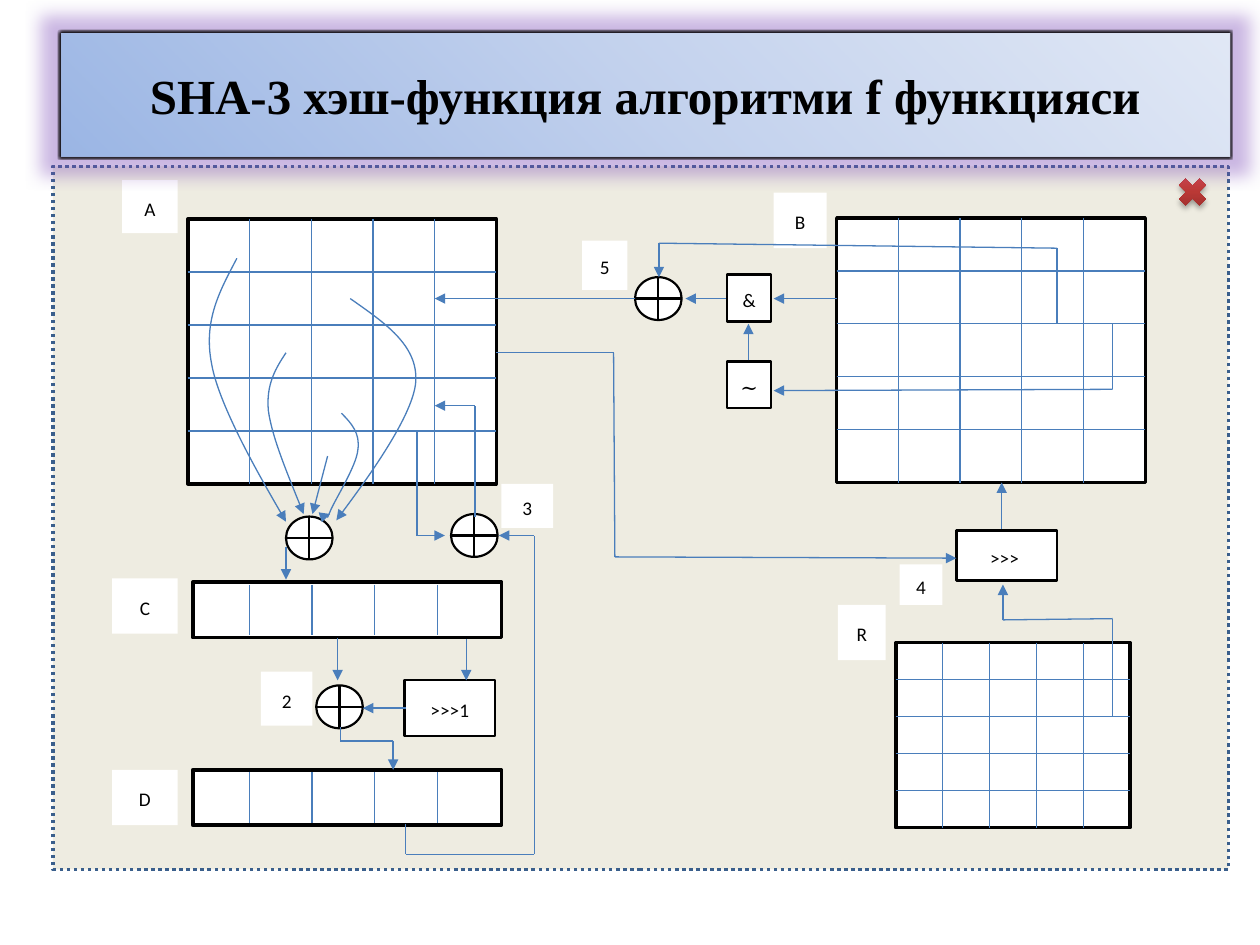
from itertools import pairwise

from pptx import Presentation
from pptx.dml.color import RGBColor
from pptx.enum.dml import MSO_LINE
from pptx.enum.shapes import MSO_CONNECTOR, MSO_SHAPE
from pptx.enum.text import MSO_ANCHOR, PP_ALIGN
from pptx.oxml import parse_xml
from pptx.oxml.ns import nsdecls, qn
from pptx.util import Inches, Pt

RECTANGLE = MSO_SHAPE.RECTANGLE
XOR_NODE = MSO_SHAPE.FLOWCHART_OR
CROSS = MSO_SHAPE.MATH_MULTIPLY
STRAIGHT = MSO_CONNECTOR.STRAIGHT
DOTTED = MSO_LINE.ROUND_DOT
MIDDLE = MSO_ANCHOR.MIDDLE
CENTER = PP_ALIGN.CENTER
BLACK, WHITE, BLUE = "000000", "FFFFFF", "4A7EBB"
UNITS = 1000

LABELS = [
    ("A", (0.97, 1.43, 0.44, 0.42)), ("B", (6.14, 1.53, 0.42, 0.44)),
    ("C", (0.89, 4.59, 0.52, 0.44)), ("D", (0.89, 6.11, 0.52, 0.44)),
    ("R", (6.65, 4.8, 0.38, 0.44)), ("2", (2.07, 5.33, 0.41, 0.43)),
    ("3", (3.98, 3.84, 0.41, 0.35)), ("4", (7.14, 4.48, 0.34, 0.32)),
    ("5", (4.62, 1.91, 0.36, 0.39)),
]
OPERATIONS = [
    (">>> ", (7.59, 4.21, 0.8, 0.4), 1.5), (">>>1", (3.21, 5.4, 0.72, 0.44), 1.25),
    ("&", (5.77, 2.18, 0.35, 0.37), 1.5),
]
XOR_POSITIONS = [(2.27, 4.1), (3.58, 4.08), (2.51, 5.44), (5.04, 2.2)]
ROUTES = [
    [(8.39, 2.56), (8.39, 1.97), (5.23, 1.93), (5.23, 2.2)],
    [(3.94, 2.8), (4.87, 2.8), (4.88, 4.42), (7.59, 4.43)],
    [(8.83, 5.68), (8.83, 4.91), (7.96, 4.92), (7.96, 4.64)],
    [(8.83, 2.57), (8.83, 3.09), (6.14, 3.1)],
    [(3.22, 6.54), (3.22, 6.78), (4.24, 6.78), (4.24, 4.25), (3.96, 4.25)],
    [(3.31, 3.42), (3.31, 4.25), (3.53, 4.25)],
    [(3.77, 4.1), (3.77, 3.22), (3.45, 3.22)],
    [(2.7, 5.77), (2.7, 5.88), (3.12, 5.88), (3.12, 6.11)],
    [(2.27, 4.34), (2.27, 4.6)],
    [(2.6, 3.62), (2.48, 4.08)],
    [(2.68, 5.06), (2.68, 5.4)],
    [(3.7, 5.07), (3.7, 5.4)],
    [(3.22, 5.62), (2.88, 5.62)],
    [(7.95, 4.2), (7.95, 3.83)],
    [(5.94, 2.86), (5.94, 2.57)],
    [(6.64, 2.37), (6.14, 2.37)],
    [(5.76, 2.37), (5.44, 2.37)],
    [(5.04, 2.37), (3.45, 2.37)],
]
CURVES = [
    [(1.88, 2.05), (1.75, 2.3), (1.61, 2.54), (1.68, 2.89),
     (1.74, 3.24), (2.27, 4.14), (2.27, 4.14)],
    [(2.78, 2.37), (3.05, 2.56), (3.32, 2.74), (3.3, 3.03),
     (3.28, 3.32), (2.67, 4.13), (2.67, 4.13)],
    [(2.27, 2.8), (2.19, 2.92), (2.11, 3.05), (2.13, 3.26),
     (2.16, 3.47), (2.29, 3.78), (2.41, 4.08)],
    [(2.71, 3.28), (2.79, 3.36), (2.86, 3.44), (2.84, 3.57), (2.83, 3.7),
     (2.65, 3.98), (2.62, 4.06), (2.58, 4.15), (2.6, 4.12), (2.62, 4.08)],
]


def color(value):
    return RGBColor.from_string(value)


def set_line(shape, value, width, arrow=False):
    shape.line.color.rgb = color(value)
    shape.line.width = Pt(width)
    if arrow:
        outline = shape._element.spPr.find(qn("a:ln"))
        outline.append(parse_xml(f'<a:tailEnd {nsdecls("a")} type="triangle"/>'))


def set_gradient(shape, stops, direction):
    shape.fill.gradient()
    properties = shape._element.spPr
    stop_list = "".join(
        f'<a:gs pos="{position * 1000}"><a:srgbClr val="{value}"/></a:gs>'
        for position, value in stops)
    properties.replace(properties.find(qn("a:gradFill")), parse_xml(
        f'<a:gradFill {nsdecls("a")} rotWithShape="1"><a:gsLst>{stop_list}</a:gsLst>'
        f'{direction}</a:gradFill>'))


def set_effect(shape, effect=""):
    shape._element.spPr.append(
        parse_xml(f'<a:effectLst {nsdecls("a")}>{effect}</a:effectLst>'))


def set_text(shape, text, font_name, size, bold=False):
    frame = shape.text_frame
    frame.text = text
    frame.word_wrap = True
    frame.vertical_anchor = MIDDLE
    paragraph = frame.paragraphs[0]
    paragraph.alignment = CENTER
    font = paragraph.runs[0].font
    font.name, font.size, font.bold = font_name, Pt(size), bold
    font.color.rgb = color(BLACK)
    return paragraph


def add_block(slide, box, kind=RECTANGLE, fill=WHITE, line=BLACK, width=2.0):
    shape = slide.shapes.add_shape(kind, *map(Inches, box))
    shape.shadow.inherit = False
    shape.fill.solid()
    shape.fill.fore_color.rgb = color(fill)
    if width:
        set_line(shape, line, width)
    else:
        shape.line.fill.background()
    return shape


def add_text_block(slide, box, text, width=0, font_name="Calibri", size=11):
    shape = add_block(slide, box, width=width)
    paragraph = set_text(shape, text, font_name, size)
    paragraph.line_spacing = 1.15
    paragraph.space_after = Pt(10)


def add_segment(slide, start, end, arrow=False):
    connector = slide.shapes.add_connector(STRAIGHT, *map(Inches, (*start, *end)))
    set_line(connector, BLUE, 0.75, arrow)
    set_effect(connector)


def add_route(slide, points):
    segments = list(pairwise(points))
    for number, (start, end) in enumerate(segments, 1):
        add_segment(slide, start, end, arrow=number == len(segments))


def add_curve(slide, controls):
    points = [(round(x * UNITS), round(y * UNITS)) for x, y in controls]
    anchors = points[::3]
    builder = slide.shapes.build_freeform(*anchors[0], scale=Inches(1) / UNITS)
    builder.add_line_segments(anchors[1:], close=False)
    shape = builder.convert_to_shape()
    left, top = (min(values) for values in zip(*anchors))
    lines = list(shape._element.spPr.iter(qn("a:lnTo")))
    for index, line in enumerate(lines):
        bezier = "".join(f'<a:pt x="{x - left}" y="{y - top}"/>'
                         for x, y in points[3 * index + 1:3 * index + 4])
        line.getparent().replace(line, parse_xml(
            f'<a:cubicBezTo {nsdecls("a")}>{bezier}</a:cubicBezTo>'))
    shape.shadow.inherit = False
    shape.fill.background()
    set_line(shape, BLUE, 0.75, arrow=True)


def add_state_grid(slide, box, count=5):
    left, top, width, height = box
    add_block(slide, box)
    for index in range(1, count):
        x, y = left + width * index / count, top + height * index / count
        add_segment(slide, (x, top), (x, top + height))
        add_segment(slide, (left, y), (left + width, y))


def add_lane_strip(slide, box, count=5):
    left, top, width, height = box
    add_block(slide, box)
    for index in range(count - 1):
        x = left + 0.45 + 0.497 * index
        add_segment(slide, (x, top + 0.02), (x, top + height - 0.02))


def add_panel(slide, box):
    left, top, width, _ = box
    panel = add_block(slide, box, fill="EEECE1", line="3A5F8C")
    panel.line.dash_style = DOTTED
    cross = slide.shapes.add_shape(
        CROSS, *map(Inches, (left + width - 0.44, top + 0.05, 0.31, 0.31)))
    cross.line.fill.background()
    set_gradient(cross, [(0, "9C2F2D"), (80, "CB3E3A"), (100, "CE3B37")],
                 '<a:lin ang="16200000" scaled="0"/>')
    set_effect(cross, '<a:outerShdw blurRad="40000" dist="23000" dir="5400000">'
                      '<a:srgbClr val="000000"><a:alpha val="35000"/></a:srgbClr></a:outerShdw>')


def add_title(slide, box):
    title = slide.shapes.title
    title.left, title.top, title.width, title.height = map(Inches, box)
    set_text(title, "SHA-3 хэш-функция алгоритми f функцияси", "Times New Roman", 28, True)
    set_gradient(title, [(0, "9AB5E4"), (50, "C2D1ED"), (100, "E1E8F5")],
                 '<a:path path="circle"><a:fillToRect t="100000" r="100000"/></a:path>')
    set_line(title, BLACK, 2)
    set_effect(title, '<a:glow rad="228600"><a:srgbClr val="8064A2">'
                      '<a:alpha val="40000"/><a:satMod val="175000"/></a:srgbClr></a:glow>'
                      '<a:softEdge rad="12700"/>')
    slide.shapes._spTree.append(title._element)


def main():
    presentation = Presentation()
    presentation.slide_width, presentation.slide_height = Inches(10), Inches(7.5)
    slide = presentation.slides.add_slide(presentation.slide_layouts[5])
    add_panel(slide, (0.42, 1.32, 9.33, 5.58))
    for box in [(1.49, 1.74, 2.45, 2.1), (6.64, 1.73, 2.45, 2.1), (7.11, 5.1, 1.86, 1.47)]:
        add_state_grid(slide, box)
    for top in (4.62, 6.11):
        add_lane_strip(slide, (1.53, top, 2.45, 0.44))
    for text, box in LABELS:
        add_text_block(slide, box, text)
    for text, box, width in OPERATIONS:
        add_text_block(slide, box, text, width)
    add_text_block(slide, (5.77, 2.87, 0.35, 0.37), "∼", 1.5, "Times New Roman", 12)
    for position in XOR_POSITIONS:
        add_block(slide, (*position, 0.37, 0.34), kind=XOR_NODE, width=1.25)
    for points in ROUTES:
        add_route(slide, points)
    for controls in CURVES:
        add_curve(slide, controls)
    add_title(slide, (0.47, 0.25, 9.3, 1))
    presentation.save("out.pptx")


if __name__ == "__main__":
    main()
